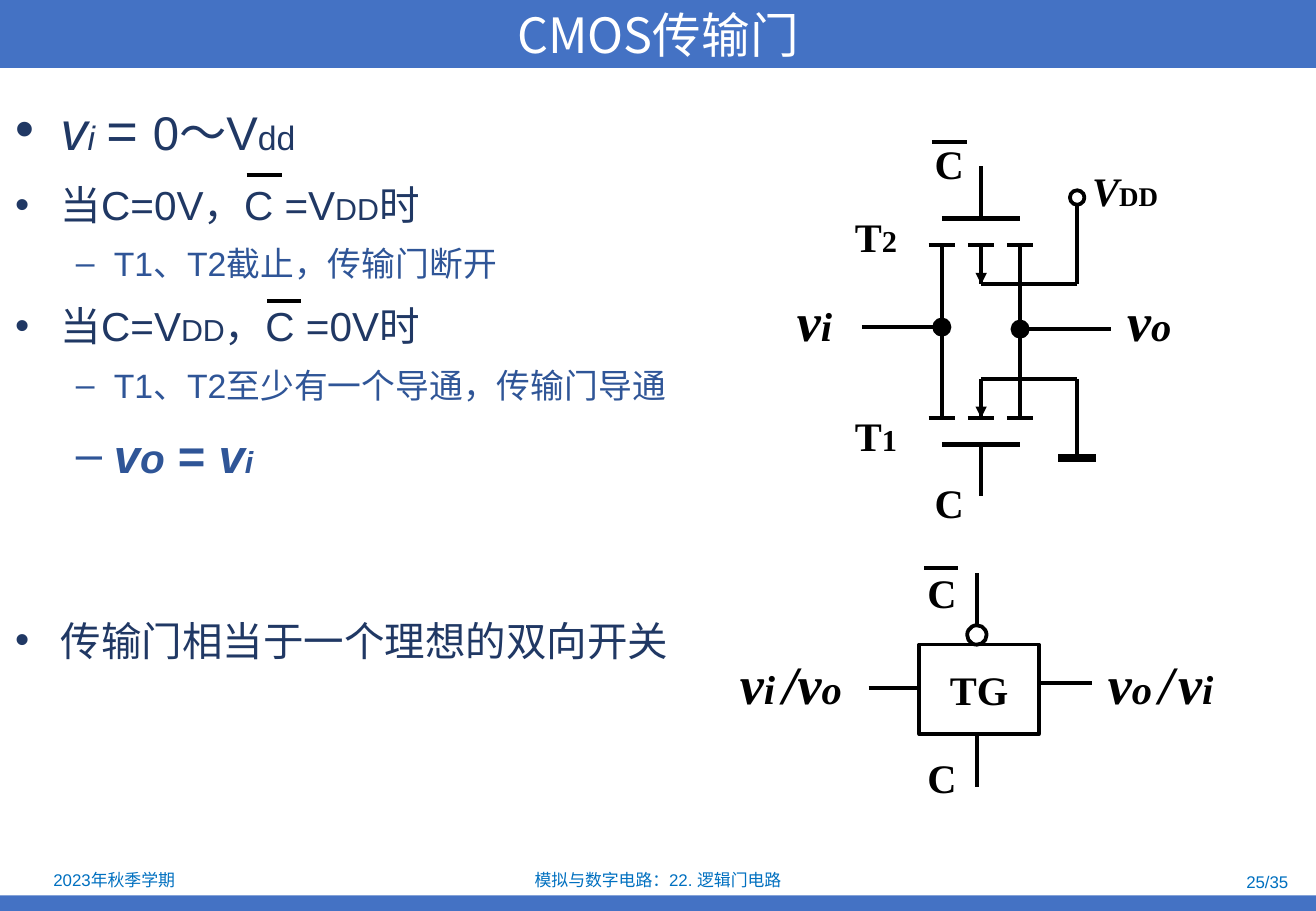
from dataclasses import dataclass

from lxml.etree import SubElement
from pptx import Presentation
from pptx.dml.color import RGBColor
from pptx.enum.shapes import MSO_CONNECTOR, MSO_SHAPE
from pptx.enum.text import MSO_ANCHOR, PP_ALIGN
from pptx.oxml.ns import qn
from pptx.util import Pt

BLUE, NAVY, MID_BLUE, FOOTER_BLUE = "4472C4", "203864", "2F5597", "0070C0"
BLACK, WHITE = "000000", "FFFFFF"
SANS, SERIF, CHINESE = "Arial", "Times New Roman", "Noto Sans CJK SC"
WIDTH, HEIGHT = 779.8, 540


@dataclass
class Span:
    text: str
    size: float
    bold: bool = False
    italic: bool = False


@dataclass
class Bullet:
    spans: list[Span]
    level: int = 0
    before: float = 0


@dataclass
class Label:
    left: float
    top: float
    spans: list[Span]


@dataclass
class Transistor:
    gate: float
    plate: float
    channel: float
    body: float


def color(value: str) -> RGBColor:
    return RGBColor.from_string(value)


def add_spans(para, spans: list[Span], font: str, fill: str) -> None:
    for item in spans:
        span = para.add_run()
        span.text = item.text
        span.font.size = Pt(item.size)
        span.font.name = font
        span.font.bold = item.bold
        span.font.italic = item.italic
        span.font.color.rgb = color(fill)
        SubElement(span.font._element, qn("a:ea")).set("typeface", CHINESE)


def add_text(page, left: float, top: float, width: float, height: float,
             spans: list[Span], font: str, fill: str,
             align=PP_ALIGN.LEFT, anchor=MSO_ANCHOR.TOP) -> None:
    frame = page.shapes.add_textbox(Pt(left), Pt(top), Pt(width), Pt(height)).text_frame
    frame.word_wrap = True
    frame.vertical_anchor = anchor
    para = frame.paragraphs[0]
    para.alignment = align
    add_spans(para, spans, font, fill)


def add_box(page, kind, left: float, top: float, width: float, height: float,
            fill: str | None = None, outline: str | None = None):
    box = page.shapes.add_shape(kind, Pt(left), Pt(top), Pt(width), Pt(height))
    box.shadow.inherit = False
    if fill:
        box.fill.solid()
        box.fill.fore_color.rgb = color(fill)
    else:
        box.fill.background()
    if outline:
        box.line.color.rgb = color(outline)
        box.line.width = Pt(2.25)
    else:
        box.line.fill.background()
    return box


def add_boxed_text(box, spans: list[Span], font: str, fill: str) -> None:
    frame = box.text_frame
    frame.word_wrap = False
    frame.vertical_anchor = MSO_ANCHOR.MIDDLE
    frame.paragraphs[0].alignment = PP_ALIGN.CENTER
    add_spans(frame.paragraphs[0], spans, font, fill)


def add_circle(page, x: float, y: float, diameter: float, fill: str | None = None) -> None:
    add_box(page, MSO_SHAPE.OVAL, x - diameter / 2, y - diameter / 2,
            diameter, diameter, fill, BLACK)


def add_wire(page, x1: float, y1: float, x2: float, y2: float,
             width: float = 2.25, arrow: bool = False) -> None:
    wire = page.shapes.add_connector(MSO_CONNECTOR.STRAIGHT, Pt(x1), Pt(y1), Pt(x2), Pt(y2))
    wire.line.color.rgb = color(BLACK)
    wire.line.width = Pt(width)
    properties = wire._element.spPr
    if arrow:
        SubElement(properties.find(qn("a:ln")), qn("a:tailEnd")).set("type", "triangle")
    SubElement(properties, qn("a:effectLst"))


def add_bullets(page, bullets: list[Bullet]) -> None:
    frame = page.shapes.add_textbox(Pt(1.8), Pt(53.6), Pt(420), Pt(461)).text_frame
    frame.word_wrap = True
    styles = [("•", 27, NAVY), ("–", 58.5, MID_BLUE)]
    hangs = [27, 22.5]
    for index, bullet in enumerate(bullets):
        para = frame.paragraphs[0] if index == 0 else frame.add_paragraph()
        mark, margin, fill = styles[bullet.level]
        para.level = bullet.level
        para.space_before = Pt(bullet.before)
        properties = para._p.get_or_add_pPr()
        properties.set("marL", str(Pt(margin)))
        properties.set("indent", str(-Pt(hangs[bullet.level])))
        SubElement(properties, qn("a:buFont")).set("typeface", SANS)
        SubElement(properties, qn("a:buChar")).set("char", mark)
        add_spans(para, bullet.spans, SANS, fill)


def symbol(letter: str, suffix: str, small: float = 24) -> list[Span]:
    return [Span(letter, 32, True, True), Span(suffix, small, True, True)]


def gap(size: float) -> Span:
    return Span(" ", size, True, True)


SOURCE_X, BODY_X, DRAIN_X, SUPPLY_X = 558.1, 581.4, 604.5, 638.3
TRANSISTORS = [Transistor(98.6, 129.6, 145.4, 168.5), Transistor(293.8, 263.5, 247.7, 224.6)]
GATE_X = 578.9

BULLETS = [
    Bullet([Span("v", 32, italic=True), Span("i", 20, italic=True), Span(" ", 24),
            Span("= ", 32), Span("0～V", 28), Span("dd", 20)]),
    Bullet([Span("当C=0V，C =V", 24), Span("DD", 18), Span("时", 24)], before=11.3),
    Bullet([Span("T1、T2截止，传输门断开", 20)], 1, 8.4),
    Bullet([Span("当C=V", 24), Span("DD", 18), Span("，C =0V时", 24)], before=10.4),
    Bullet([Span("T1、T2至少有一个导通，传输门导通", 20)], 1, 8.8),
    Bullet([Span("v", 28, True, True), Span("o", 24, True, True), gap(28),
            Span("= ", 28, True), Span("v", 28, True, True), Span("i", 18, True, True)], 1, 12.5),
    Bullet([Span("传输门相当于一个理想的双向开关", 24)], before=78.7),
]

LABELS = [
    Label(640.1, 94.9, [Span("V", 24, True, True), Span("DD", 16, True)]),
    *[Label(left, top, [Span("C", 24, True)])
      for left, top in [(546.8, 79), (546.8, 280.1), (542.5, 333.3), (542.5, 442.9)]],
    *[Label(499.5, top, [Span("T", 24, True), Span(digit, 18, True)])
      for digit, top in [("2", 121.9), ("1", 240.2)]],
    Label(465.1, 167, symbol("v", "i")),
    Label(660.8, 167, symbol("v", "o")),
    Label(431.3, 382.3, [*symbol("v", "i"), gap(18), *symbol("/v", "o")]),
    Label(649.4, 382.3, [*symbol("v", "o"), gap(16), Span("/", 32, True, True),
                         gap(10), *symbol("v", "i")]),
]

OVERLINES = [(146.2, 167, 103.9), (158.4, 178.6, 178.4), (552.2, 573.1, 84.4), (547.6, 567.4, 336.8)]


def add_transistor(page, part: Transistor) -> None:
    add_wire(page, BODY_X, part.gate, BODY_X, part.plate)
    add_wire(page, SOURCE_X, part.plate, DRAIN_X, part.plate, 3)
    for x in (SOURCE_X, BODY_X, DRAIN_X):
        add_wire(page, x - 7.8, part.channel, x + 7.8, part.channel)
    top, bottom = sorted((part.channel, part.body))
    add_wire(page, BODY_X, top, BODY_X, bottom)
    add_wire(page, BODY_X, top, BODY_X, bottom, arrow=True)
    add_wire(page, BODY_X, part.body, SUPPLY_X, part.body)


def add_circuit(page) -> None:
    upper, lower = TRANSISTORS
    for part in TRANSISTORS:
        add_transistor(page, part)
    for x, upper_end, lower_end in [(SOURCE_X, 231.8, 224.6), (DRAIN_X, 221, 215.3)]:
        add_wire(page, x, upper.channel, x, upper_end)
        add_wire(page, x, lower.channel, x, lower_end)
    add_wire(page, 510.7, 193.9, SOURCE_X, 193.9)
    add_wire(page, DRAIN_X, 195.1, 658.1, 195.1)
    add_circle(page, SOURCE_X, 193.9, 9, BLACK)
    add_circle(page, DRAIN_X, 195.1, 9, BLACK)
    for supply_end, joint, body in [(121.7, 138.2, upper.body), (271.4, 254.9, lower.body)]:
        add_wire(page, SUPPLY_X, supply_end, SUPPLY_X, joint)
        add_wire(page, SUPPLY_X, joint, SUPPLY_X, body)
    add_circle(page, SUPPLY_X, 117.1, 8.6)
    add_wire(page, 627.1, 271.4, 649.4, 271.4, 4.5)


def add_gate_symbol(page) -> None:
    gate = add_box(page, MSO_SHAPE.RECTANGLE, 544.7, 382.1, 70.9, 53, outline=BLACK)
    add_boxed_text(gate, [Span("TG", 24, True)], SERIF, BLACK)
    add_wire(page, 514.8, 407.7, 546, 407.7)
    add_wire(page, 615.6, 404.8, 647.3, 404.8)
    add_wire(page, GATE_X, 339.8, GATE_X, 370.8)
    add_wire(page, GATE_X, 435.6, GATE_X, 466.6)
    add_circle(page, GATE_X, 376.4, 11.5)


def main() -> None:
    deck = Presentation()
    deck.slide_width, deck.slide_height = Pt(WIDTH), Pt(HEIGHT)
    page = deck.slides.add_slide(deck.slide_layouts[6])
    add_box(page, MSO_SHAPE.RECTANGLE, 0, 530.8, WIDTH, 9.2, BLUE)
    title = add_box(page, MSO_SHAPE.RECTANGLE, 0, 0, WIDTH, 40.3, BLUE)
    add_boxed_text(title, [Span("CMOS传输门", 28.8)], CHINESE, WHITE)
    add_bullets(page, BULLETS)
    for left, top, width, text, align in [
        (1.4, 513.8, 132.5, "2023年秋季学期", PP_ALIGN.CENTER),
        (266.4, 513.8, 247, "模拟与数字电路：22. 逻辑门电路", PP_ALIGN.CENTER),
        (588.3, 514.5, 182.2, "25/35", PP_ALIGN.RIGHT),
    ]:
        add_text(page, left, top, width, 16, [Span(text, 10)], SANS, FOOTER_BLUE,
                 align, MSO_ANCHOR.MIDDLE)
    add_circuit(page)
    add_gate_symbol(page)
    for x1, x2, y in OVERLINES:
        add_wire(page, x1, y, x2, y)
    for label in LABELS:
        add_text(page, label.left, label.top, 100, 36, label.spans, SERIF, BLACK)
    deck.save("out.pptx")


if __name__ == "__main__":
    main()
